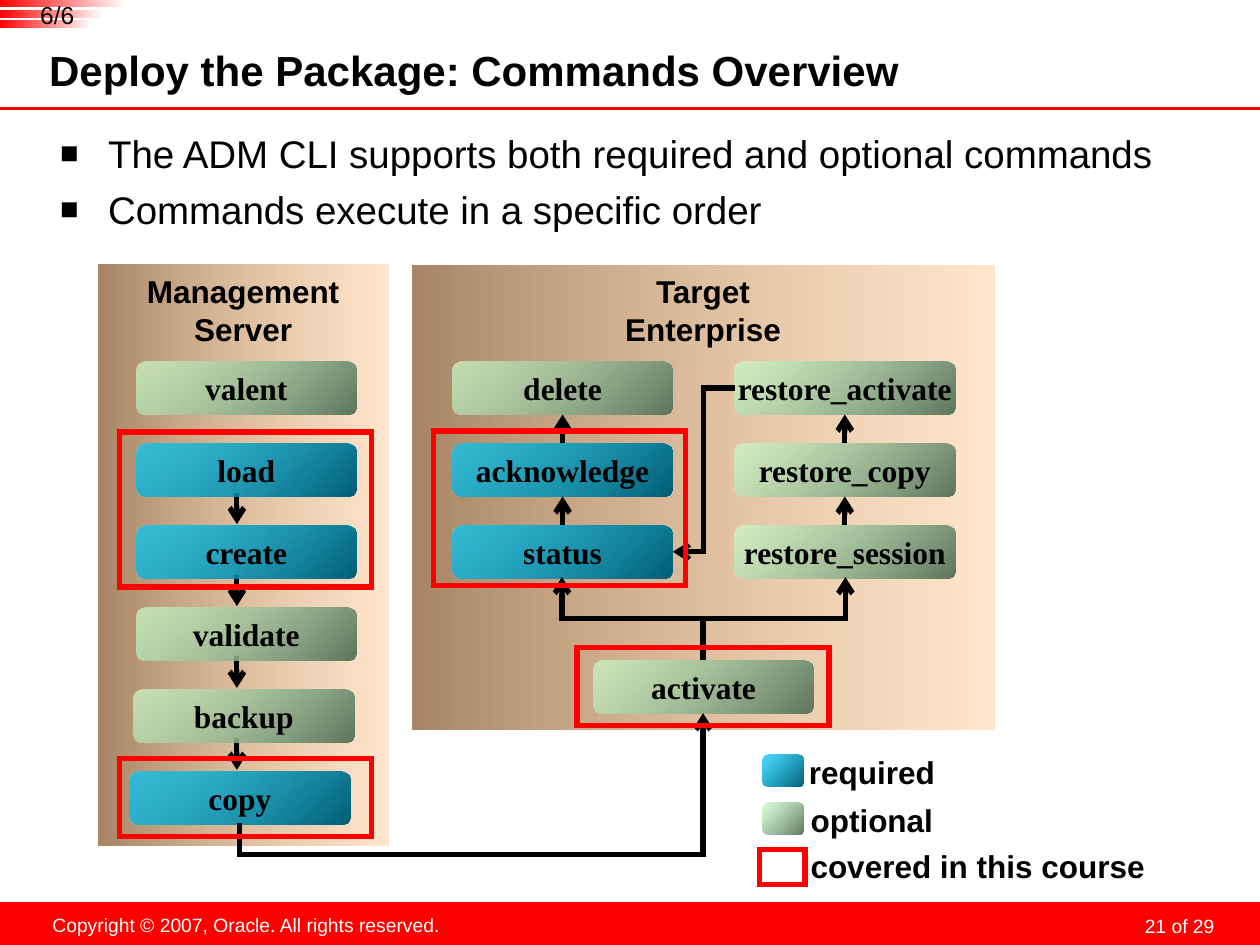
from dataclasses import dataclass

from lxml import etree
from pptx import Presentation
from pptx.dml.color import RGBColor
from pptx.enum.shapes import MSO_CONNECTOR, MSO_SHAPE
from pptx.enum.text import MSO_ANCHOR, PP_ALIGN
from pptx.oxml.ns import qn
from pptx.util import Inches, Pt

RECT, ROUND = MSO_SHAPE.RECTANGLE, MSO_SHAPE.ROUNDED_RECTANGLE
PILL = MSO_SHAPE.FLOWCHART_ALTERNATE_PROCESS
STRAIGHT, ELBOW = MSO_CONNECTOR.STRAIGHT, MSO_CONNECTOR.ELBOW
TOP, MIDDLE = MSO_ANCHOR.TOP, MSO_ANCHOR.MIDDLE
LEFT, CENTER, RIGHT = PP_ALIGN.LEFT, PP_ALIGN.CENTER, PP_ALIGN.RIGHT


@dataclass(frozen=True)
class Theme:
    red: str = "FF0000"
    black: str = "000000"
    white: str = "FFFFFF"
    # Gradients: (colour, opacity in percent) from first to last stop
    bar: tuple = (("FFFFFF", 100), ("FF0000", 100))
    panel: tuple = (("FFCC99", 50), ("A88665", 100))
    required: tuple = (("005E75", 100), ("00CCFF", 70))
    optional: tuple = (("5E755E", 100), ("CCFFCC", 70))
    sans: str = "Arial"
    serif: str = "Times New Roman"
    title: int = 24
    body: int = 22
    label: int = 18
    counter: int = 14
    footer: int = 11
    stroke: int = 3


THEME = Theme()
PILL_SIZE = (1.75, 0.42)
ROW_TOP, ROW_STEP = 2.87, 0.65


def write_text(frame, text, size=THEME.label, font=THEME.sans, color=THEME.black,
               bold=False, align=CENTER, anchor=TOP, wrap=False,
               insets=(0.1, 0.05, 0.1, 0.05), bullet=None, before=0, line=None):
    """Write one paragraph per list item, or a single one for a string."""
    frame.word_wrap = wrap
    frame.vertical_anchor = anchor
    (frame.margin_left, frame.margin_top,
     frame.margin_right, frame.margin_bottom) = map(Inches, insets)
    for index, words in enumerate([text] if isinstance(text, str) else text):
        para = frame.add_paragraph() if index else frame.paragraphs[0]
        para.text = words
        para.alignment = align
        if index:
            para.space_before = Pt(before)
        if line:
            para.line_spacing = Pt(line)
        if bullet:
            add_bullet(para, bullet)
        for span in para.runs:
            span.font.name, span.font.size, span.font.bold = font, Pt(size), bold
            span.font.color.rgb = RGBColor.from_string(color)


def add_bullet(para, character):
    properties = para._p.get_or_add_pPr()
    properties.set("marL", str(Inches(0.38)))
    properties.set("indent", str(-Inches(0.38)))
    etree.SubElement(properties, qn("a:buSzPct"), val="80000")
    etree.SubElement(properties, qn("a:buFont"), typeface=THEME.sans)
    etree.SubElement(properties, qn("a:buChar"), char=character)


def add_text(page, text, place, **style):
    box = page.shapes.add_textbox(*map(Inches, place))
    write_text(box.text_frame, text, **style)


def set_stroke(line, color, width=THEME.stroke, arrow=False):
    """Solid line with sharp corners and an optional arrowhead."""
    line.color.rgb = RGBColor.from_string(color)
    line.width = Pt(width)
    outline = line._get_or_add_ln()
    etree.SubElement(outline, qn("a:miter"), lim="800000")
    if arrow:
        etree.SubElement(outline, qn("a:tailEnd"), type="arrow")


def add_block(page, kind, place, fill=None, angle=180, line=None):
    """Add a shape; fill is a colour, a gradient or None for hollow."""
    block = page.shapes.add_shape(kind, *map(Inches, place))
    block.shadow.inherit = False
    if fill is None:
        block.fill.background()
    elif isinstance(fill, str):
        block.fill.solid()
        block.fill.fore_color.rgb = RGBColor.from_string(fill)
    else:
        block.fill.gradient()
        block.fill.gradient_angle = angle
        for stop, (color, opacity) in zip(block.fill.gradient_stops, fill):
            stop.color.rgb = RGBColor.from_string(color)
            if opacity < 100:
                tone = stop._gs.find(qn("a:srgbClr"))
                etree.SubElement(tone, qn("a:alpha"), val=str(opacity * 1000))
    if line:
        set_stroke(block.line, line)
    else:
        block.line.fill.background()
    return block


def add_pill(page, text, left, top, fill):
    pill = add_block(page, PILL, (left, top, *PILL_SIZE), fill, angle=135)
    write_text(pill.text_frame, text, font=THEME.serif, bold=True, anchor=MIDDLE)
    return pill


def add_line(page, start, end, kind=STRAIGHT, color=THEME.black,
             width=THEME.stroke, arrow=True):
    link = page.shapes.add_connector(kind, *map(Inches, (*start, *end)))
    set_stroke(link.line, color, width, arrow)
    etree.SubElement(link._element.spPr, qn("a:effectLst"))
    return link


def add_rising_elbow(page, start, end, bend=0.5):
    """Elbow that leaves vertically: a sideways elbow turned by 270 degrees."""
    (x1, y1), (x2, y2) = start, end
    center_x, center_y = (x1 + x2) / 2, (y1 + y2) / 2
    half_rise, half_run = (y1 - y2) / 2, (x2 - x1) / 2
    link = add_line(page, (center_x - half_rise, center_y - half_run),
                    (center_x + half_rise, center_y + half_run), ELBOW)
    properties = link._element.spPr
    properties.find(qn("a:xfrm")).set("rot", str(270 * 60000))
    guides = properties.find(qn("a:prstGeom")).find(qn("a:avLst"))
    etree.SubElement(guides, qn("a:gd"), name="adj1",
                     fmla=f"val {round(bend * 100000)}")


def add_climb(page, lower, upper):
    link = add_line(page, (0, 0), (0, 0))
    link.begin_connect(lower, 0)
    link.end_connect(upper, 2)


def add_frame_parts(page):
    # Footer
    add_block(page, RECT, (0, 7.16, 10, 0.34), THEME.red)
    footer = dict(size=THEME.footer, color=THEME.white)
    add_text(page, "21 of 29", (7.36, 7.19, 2.33, 0.25), align=RIGHT, wrap=True,
             insets=(0.05, 0, 0.05, 0), line=18, **footer)
    add_text(page, "Copyright © 2007, Oracle. All rights reserved.",
             (0.31, 7.2, 3.29, 0.29), **footer)
    # Title and bullets
    add_line(page, (0, 0.86), (10, 0.86), color=THEME.red, width=1.75, arrow=False)
    add_text(page, "Deploy the Package: Commands Overview", (0.39, 0.38, 7.87, 0.4),
             size=THEME.title, bold=True, align=LEFT, anchor=MIDDLE, wrap=True,
             insets=(0, 0, 0.05, 0.05))
    add_text(page, ["The ADM CLI supports both required and optional commands",
                    "Commands execute in a specific order"],
             (0.38, 0.93, 9.3, 6.18), size=THEME.body, align=LEFT, wrap=True,
             insets=(0.1, 0.1, 0.1, 0.05), bullet="■", before=5.5)
    # Step counter
    for row, width in enumerate((1.01, 0.82, 0.73)):
        bar = add_block(page, ROUND, (0, row * 0.08, width, 0.06), THEME.bar)
        bar.adjustments[0] = 0
    add_text(page, "6/6", (0.2, 0, 0.51, 0.23), size=THEME.counter, wrap=True,
             insets=(0, 0, 0, 0))


def add_target(page):
    add_block(page, RECT, (3.27, 2.11, 4.62, 3.68), THEME.panel)
    add_text(page, "Target\nEnterprise", (4.73, 2.11, 1.7, 0.7), bold=True)
    columns = (
        (3.59, (("delete", THEME.optional), ("acknowledge", THEME.required),
                ("status", THEME.required))),
        (5.83, (("restore_activate", THEME.optional),
                ("restore_copy", THEME.optional),
                ("restore_session", THEME.optional))),
    )
    for left, commands in columns:
        pills = [add_pill(page, name, left, ROW_TOP + row * ROW_STEP, fill)
                 for row, (name, fill) in enumerate(commands)]
        for upper, lower in zip(pills, pills[1:]):
            add_climb(page, lower, upper)
    add_line(page, (5.83, 3.08), (5.34, 4.38), ELBOW)
    add_pill(page, "activate", 4.71, 5.24, THEME.optional)
    for x in (4.46, 6.71):
        add_rising_elbow(page, (5.58, 5.24), (x, 4.58))


def add_management(page):
    add_block(page, RECT, (0.78, 2.1, 2.3, 4.61), THEME.panel)
    add_text(page, "Management\nServer", (0.98, 2.11, 1.9, 0.7), bold=True)
    for row in range(4):
        top = 3.91 + row * ROW_STEP
        add_line(page, (1.88, top), (1.88, top + 0.25))
    commands = (("valent", 1.08, THEME.optional), ("load", 1.08, THEME.required),
                ("create", 1.08, THEME.required), ("validate", 1.08, THEME.optional),
                ("backup", 1.06, THEME.optional), ("copy", 1.03, THEME.required))
    for row, (name, left, fill) in enumerate(commands):
        add_pill(page, name, left, ROW_TOP + row * ROW_STEP, fill)
    add_rising_elbow(page, (1.9, 6.53), (5.58, 5.66), bend=-0.29)


def add_legend(page):
    for name, top, fill in (("required", 5.89, THEME.required),
                            ("optional", 6.27, THEME.optional)):
        add_text(page, name, (5.96, top, 1.92, 0.47), bold=True, anchor=MIDDLE)
        add_block(page, PILL, (6.05, top + 0.1, 0.33, 0.25), fill, angle=135)
    add_text(page, "covered in this course", (6.26, 6.67, 3, 0.4), bold=True)


def main():
    deck = Presentation()
    deck.slide_width, deck.slide_height = Inches(10), Inches(7.5)
    page = deck.slides.add_slide(deck.slide_layouts[6])
    add_frame_parts(page)
    add_target(page)
    add_management(page)
    add_legend(page)
    # Frames around covered commands, and their legend key
    for place in ((0.95, 3.43, 2, 1.23), (0.95, 6.02, 2, 0.62), (4.58, 5.14, 2, 0.62),
                  (3.44, 3.42, 2, 1.23), (6.03, 6.74, 0.36, 0.28)):
        add_block(page, RECT, place, line=THEME.red)
    deck.save("out.pptx")


if __name__ == "__main__":
    main()
